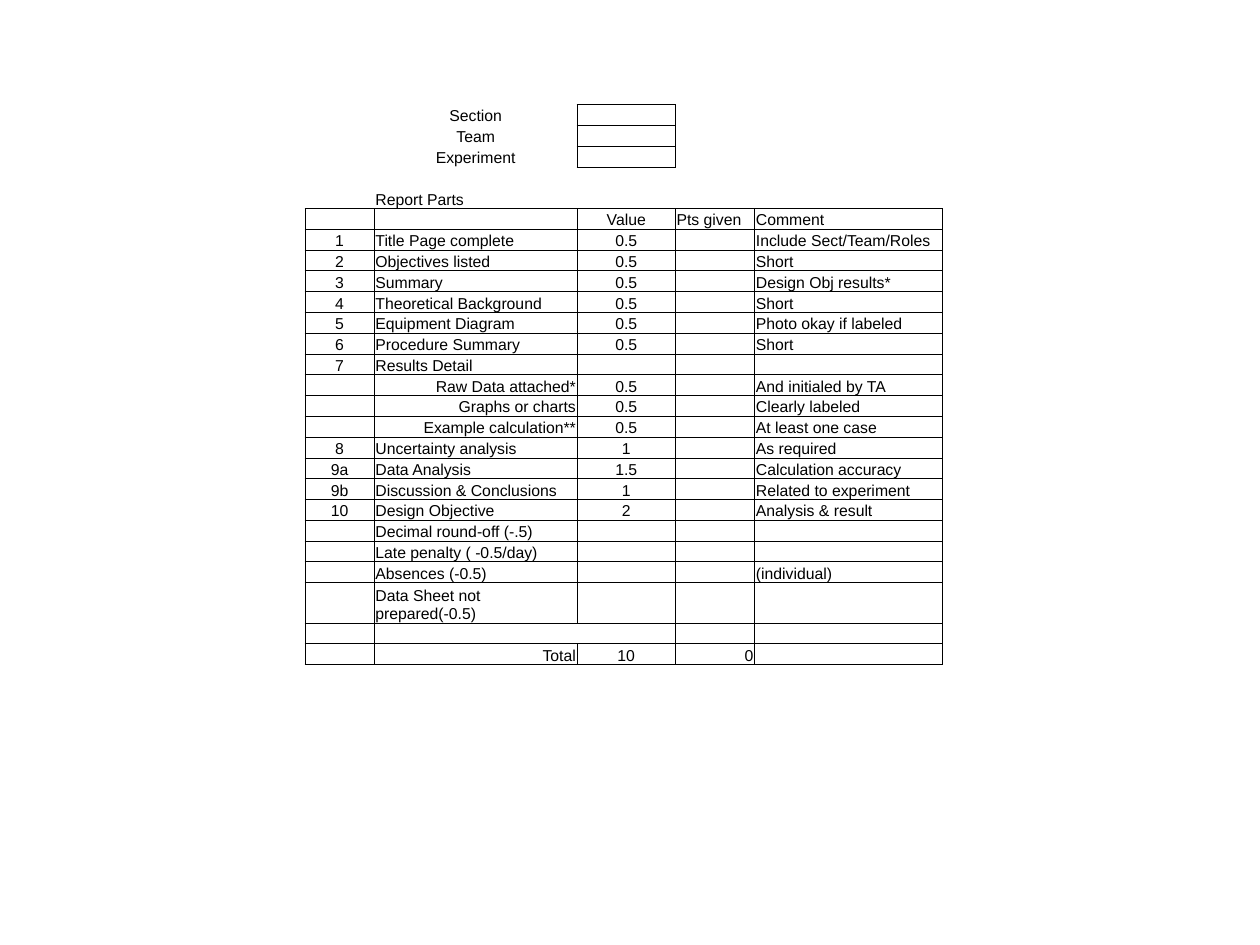
"""Build a one-slide grading sheet for lab reports."""
from dataclasses import dataclass

from pptx import Presentation
from pptx.dml.color import RGBColor
from pptx.enum.text import MSO_ANCHOR, PP_ALIGN
from pptx.oxml.xmlchemy import OxmlElement
from pptx.table import Table, _Cell
from pptx.util import Inches, Pt


@dataclass(frozen=True)
class Theme:
    """Fonts, colours and line weights."""
    font: str = "Arial"
    size: float = 9
    ink: str = "000000"
    rule: float = 0.5
    plain_style: str = "{2D5ABB26-0587-4C30-8999-92F81FD0307C}"


@dataclass(frozen=True)
class GradeRow:
    """One line of the grading sheet."""
    topic: str = ""
    number: str = ""
    value: str = ""
    points: str = ""
    comment: str = ""
    topic_align: PP_ALIGN = PP_ALIGN.LEFT
    points_align: PP_ALIGN = PP_ALIGN.LEFT


THEME = Theme()
CENTER, LEFT, RIGHT = PP_ALIGN.CENTER, PP_ALIGN.LEFT, PP_ALIGN.RIGHT
COLUMN_WIDTHS = (0.55, 1.61, 0.78, 0.63, 1.49)
SHEET_HEIGHT, TALL_HEIGHT = 4.45, 0.32
FIELD_COUNT, HEADER_INDEX, TALL_INDEX, SPACER_INDEX = 3, 5, 23, 24
VALUE_COLUMN = 2

GRADE_ROWS = (
    GradeRow("Section", topic_align=CENTER),
    GradeRow("Team", topic_align=CENTER),
    GradeRow("Experiment", topic_align=CENTER),
    GradeRow(),
    GradeRow("Report Parts"),
    GradeRow("", "", "Value", "Pts given", "Comment"),
    GradeRow("Title Page complete", "1", "0.5", "", "Include Sect/Team/Roles"),
    GradeRow("Objectives listed", "2", "0.5", "", "Short"),
    GradeRow("Summary", "3", "0.5", "", "Design Obj results*"),
    GradeRow("Theoretical Background", "4", "0.5", "", "Short"),
    GradeRow("Equipment Diagram", "5", "0.5", "", "Photo okay if labeled"),
    GradeRow("Procedure Summary", "6", "0.5", "", "Short"),
    GradeRow("Results Detail", "7"),
    GradeRow("Raw Data attached*", "", "0.5", "", "And initialed by TA", RIGHT),
    GradeRow("Graphs or charts", "", "0.5", "", "Clearly labeled", RIGHT),
    GradeRow("Example calculation**", "", "0.5", "", "At least one case", RIGHT),
    GradeRow("Uncertainty analysis", "8", "1", "", "As required"),
    GradeRow("Data Analysis", "9a", "1.5", "", "Calculation accuracy"),
    GradeRow("Discussion & Conclusions", "9b", "1", "", "Related to experiment"),
    GradeRow("Design Objective", "10", "2", "", "Analysis & result"),
    GradeRow("Decimal round-off (-.5)"),
    GradeRow("Late penalty ( -0.5/day)"),
    GradeRow("Absences (-0.5)", comment="(individual)"),
    GradeRow("Data Sheet not prepared(-0.5)"),
    GradeRow(),
    GradeRow("Total", "", "10", "0", "", RIGHT, RIGHT),
)


def is_boxed(row: int, column: int) -> bool:
    """Tell whether a position belongs to a ruled area."""
    in_grid = HEADER_INDEX <= row < len(GRADE_ROWS) and 0 <= column < len(COLUMN_WIDTHS)
    return in_grid or (0 <= row < FIELD_COUNT and column == VALUE_COLUMN)


def ruled_sides(row: int, column: int) -> dict[str, bool]:
    """Map each side of a cell to whether it carries a rule."""
    neighbours = {"L": (row, column - 1), "R": (row, column + 1),
                  "T": (row - 1, column), "B": (row + 1, column)}
    sides = {side: is_boxed(row, column) or is_boxed(*place)
             for side, place in neighbours.items()}
    if row == SPACER_INDEX and column in (VALUE_COLUMN - 1, VALUE_COLUMN):
        sides["R" if column < VALUE_COLUMN else "L"] = False
    return sides


def draw_rules(cell: _Cell, sides: dict[str, bool]) -> None:
    """Rule the chosen sides of a cell."""
    properties = cell._tc.get_or_add_tcPr()
    for side, ruled in sides.items():
        line = OxmlElement(f"a:ln{side}")
        line.set("w", str(Pt(THEME.rule)))
        paint = OxmlElement("a:solidFill" if ruled else "a:noFill")
        if ruled:
            ink = OxmlElement("a:srgbClr")
            ink.set("val", THEME.ink)
            paint.append(ink)
        line.append(paint)
        properties.append(line)
    cell.fill.background()


def write_cell(cell: _Cell, wording: str, align: PP_ALIGN) -> None:
    """Write one cell, keeping empty ones at the same type size."""
    layout = {"vertical_anchor": MSO_ANCHOR.BOTTOM, "margin_left": Inches(0.01),
              "margin_right": Inches(0.01), "margin_top": Inches(0.01), "margin_bottom": 0}
    for attribute, setting in layout.items():
        setattr(cell, attribute, setting)
    paragraph = cell.text_frame.paragraphs[0]
    paragraph.alignment = align
    if wording:
        run = paragraph.add_run()
        run.text = wording
        for attribute, setting in {"name": THEME.font, "size": Pt(THEME.size)}.items():
            setattr(run.font, attribute, setting)
        run.font.color.rgb = RGBColor.from_string(THEME.ink)
    else:
        ending = OxmlElement("a:endParaRPr")
        ending.set("sz", str(int(THEME.size * 100)))
        paragraph._p.append(ending)


def fill_row(sheet: Table, index: int, grade: GradeRow) -> None:
    """Write and rule one row of the sheet."""
    entries = ((grade.number, CENTER), (grade.topic, grade.topic_align),
               (grade.value, CENTER), (grade.points, grade.points_align),
               (grade.comment, LEFT))
    for column, (wording, align) in enumerate(entries):
        cell = sheet.cell(index, column)
        write_cell(cell, wording, align)
        draw_rules(cell, ruled_sides(index, column))


def main() -> None:
    """Build and save the slide."""
    deck = Presentation()
    deck.slide_width, deck.slide_height = Inches(10), Inches(7.5)
    slide = deck.slides.add_slide(deck.slide_layouts[6])
    sheet = slide.shapes.add_table(
        len(GRADE_ROWS), len(COLUMN_WIDTHS), Inches(2.42), Inches(0.83),
        Inches(sum(COLUMN_WIDTHS)), Inches(SHEET_HEIGHT)).table
    for attribute in ("first_row", "horz_banding"):
        setattr(sheet, attribute, False)
    sheet._tbl.tblPr.find("{*}tableStyleId").text = THEME.plain_style
    for column, width in zip(sheet.columns, COLUMN_WIDTHS):
        column.width = Inches(width)
    row_height = (SHEET_HEIGHT - TALL_HEIGHT) / (len(GRADE_ROWS) - 1)
    for index, grade in enumerate(GRADE_ROWS):
        sheet.rows[index].height = Inches(TALL_HEIGHT if index == TALL_INDEX else row_height)
        fill_row(sheet, index, grade)
    deck.save("out.pptx")


if __name__ == "__main__":
    main()
